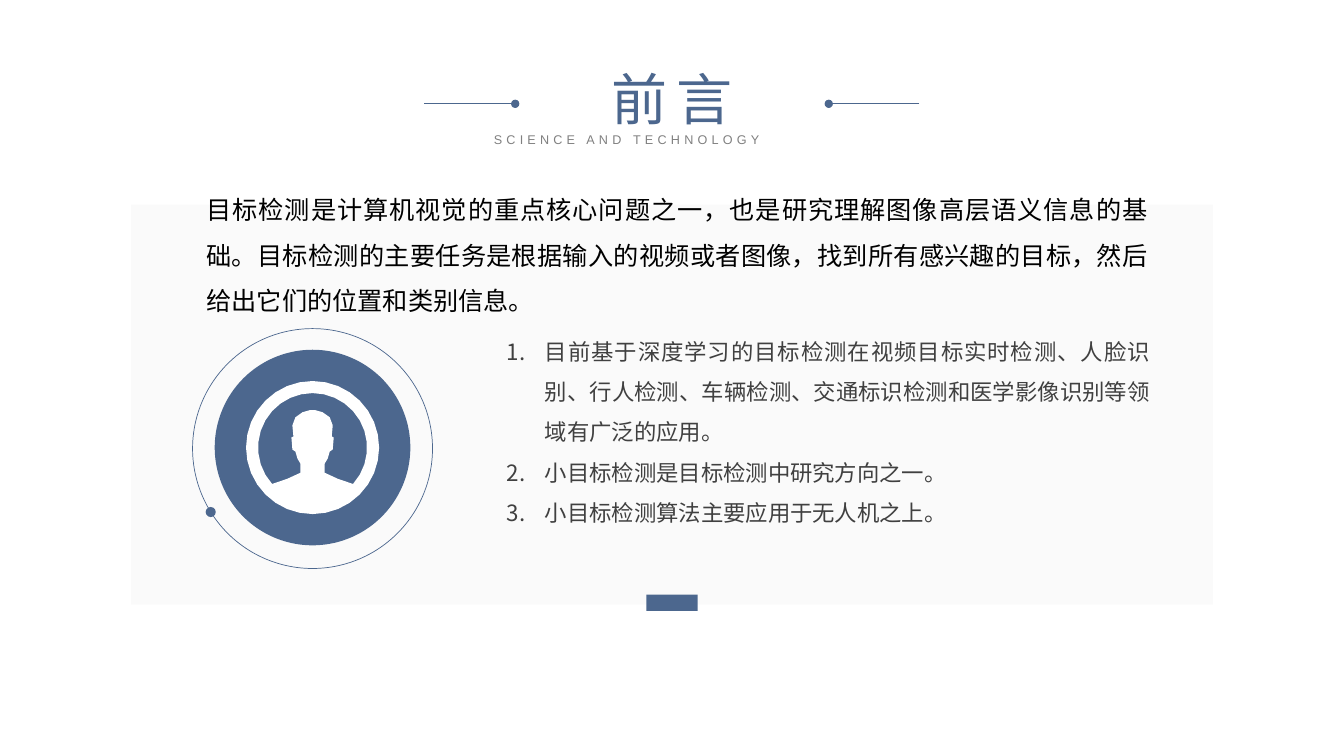
import math
from dataclasses import dataclass

import lxml.etree
import pptx
import pptx.dml.color
import pptx.enum.shapes
import pptx.enum.text
import pptx.oxml.ns
import pptx.util

Inches = pptx.util.Inches
Pt = pptx.util.Pt
Align = pptx.enum.text.PP_ALIGN
Preset = pptx.enum.shapes.MSO_SHAPE


@dataclass(frozen=True)
class Theme:
    """Colours, fonts and sizes of the slide."""
    accent: str = "4C678E"
    panel: str = "F2F2F2"
    white: str = "FFFFFF"
    black: str = "000000"
    body: str = "404040"
    muted: str = "808080"
    latin: str = "Arial"
    chinese: str = "Noto Sans CJK SC"
    title_size: int = 40
    lead_size: int = 18
    point_size: int = 16
    subtitle_size: int = 9
    hairline: float = 0.5


def rgb(value):
    """Return a colour from its hex digits."""
    return pptx.dml.color.RGBColor.from_string(value)


def child(parent, tag, **attributes):
    """Append a DrawingML element to its parent."""
    return lxml.etree.SubElement(parent, pptx.oxml.ns.qn(tag), attributes)


def write(paragraph, text, *, size, color, font, align=Align.JUSTIFY,
          spacing=None, tracking=0, numbered=False):
    """Write formatted text into a paragraph."""
    paragraph.alignment = align
    properties = paragraph._p.get_or_add_pPr()
    properties.set("hangingPunct", "0")
    if spacing:
        paragraph.line_spacing = spacing
    if numbered:
        hanging = Pt(27)
        properties.set("marL", str(hanging))
        properties.set("indent", str(-hanging))
        child(properties, "a:buFont", typeface=font)
        child(properties, "a:buAutoNum", type="arabicPeriod")
    run = paragraph.add_run()
    run.text = text
    run.font.size = Pt(size)
    run.font.color.rgb = rgb(color)
    run.font.name = font
    character = run._r.get_or_add_rPr()
    character.set("lang", "zh-CN")
    child(character, "a:ea", typeface=font)
    if tracking:
        character.set("spc", str(tracking * 100))


class Board:
    """Draws elements on one slide in one theme."""

    def __init__(self, slide, theme):
        self.shapes = slide.shapes
        self.theme = theme

    def text(self, left, top, width, height, lines, **style):
        """Add a text box with one paragraph per line."""
        box = self.shapes.add_textbox(
            Inches(left), Inches(top), Inches(width), Inches(height))
        frame = box.text_frame
        frame.word_wrap = True
        frame.auto_size = pptx.enum.text.MSO_AUTO_SIZE.SHAPE_TO_FIT_TEXT
        for index, line in enumerate(lines):
            paragraph = frame.add_paragraph() if index else frame.paragraphs[0]
            write(paragraph, line, **style)

    def paint(self, shape, fill=None, line=None, alpha=None):
        """Set fill, outline and transparency of a shape."""
        shape.shadow.inherit = False
        if fill:
            shape.fill.solid()
            shape.fill.fore_color.rgb = rgb(fill)
        else:
            shape.fill.background()
        if alpha:
            color = shape._element.spPr.find(".//" + pptx.oxml.ns.qn("a:srgbClr"))
            child(color, "a:alpha", val=str(alpha * 1000))
        if line:
            shape.line.color.rgb = rgb(line)
            shape.line.width = Pt(self.theme.hairline)
        else:
            shape.line.fill.background()

    def preset(self, kind, left, top, width, height, **style):
        """Add a preset shape."""
        shape = self.shapes.add_shape(
            kind, Inches(left), Inches(top), Inches(width), Inches(height))
        self.paint(shape, **style)

    def dotted_line(self, start, end, y):
        """Add a horizontal rule ending in a dot."""
        rule = self.shapes.add_connector(
            pptx.enum.shapes.MSO_CONNECTOR.STRAIGHT,
            Inches(start), Inches(y), Inches(end), Inches(y))
        rule.line.color.rgb = rgb(self.theme.accent)
        rule.line.width = Pt(self.theme.hairline)
        child(rule.line._get_or_add_ln(), "a:tailEnd", type="oval")
        child(rule._element.spPr, "a:effectLst")

    def outline(self, contours, **style):
        """Add one freeform made of closed contours."""
        scaled = [[(Inches(x), Inches(y)) for x, y in contour] for contour in contours]
        builder = self.shapes.build_freeform(*scaled[0][0], scale=1.0)
        for index, (first, *others) in enumerate(scaled):
            if index:
                builder.move_to(*first)
            builder.add_line_segments(others, close=True)
        self.paint(builder.convert_to_shape(), **style)


def arc(center, radius, start, end, steps):
    """Return points along an arc, with angles in degrees."""
    angles = [math.radians(start + (end - start) * i / steps) for i in range(steps + 1)]
    return [(center[0] + radius * math.cos(a), center[1] + radius * math.sin(a))
            for a in angles]


def portrait(center):
    """Return the contours of a ring holding a head and shoulders."""
    x, y = center
    profile = [(0.25, 0.31), (0.12, 0.25), (0.12, 0.16), (0.15, 0.11),
               (0.17, 0.04), (0.2, 0.02), (0.21, -0.1), (0.19, -0.11), (0.2, -0.22),
               (0.17, -0.3), (0.1, -0.35), (0.03, -0.37)]
    right = [(x + dx, y + dy) for dx, dy in profile]
    left = [(x - dx, y + dy) for dx, dy in reversed(profile)]
    return [arc(center, 0.66, 0, 360, 32), arc(center, 0.54, 138, 402, 22) + right + left]


def main():
    """Build and save the foreword slide."""
    deck = pptx.Presentation()
    deck.slide_width, deck.slide_height = Inches(13.33), Inches(7.5)
    theme = Theme()
    board = Board(deck.slides.add_slide(deck.slide_layouts[6]), theme)

    board.text(4.8, 1.26, 3.74, 0.25, ["SCIENCE AND TECHNOLOGY"], tracking=3,
               size=theme.subtitle_size, color=theme.muted, font=theme.latin)
    board.text(5.16, 0.59, 3.01, 0.77, ["前言"], tracking=6, align=Align.CENTER,
               size=theme.title_size, color=theme.accent, font=theme.chinese)
    for start, end in ((4.21, 5.11), (9.12, 8.22)):
        board.dotted_line(start, end, 1.03)

    board.preset(Preset.RECTANGLE, 1.3, 2.03, 10.73, 3.97, fill=theme.panel, alpha=33)
    board.preset(Preset.RECTANGLE, 6.41, 5.9, 0.51, 0.16, fill=theme.accent)

    lead = ("目标检测是计算机视觉的重点核心问题之一，也是研究理解图像高层语义信息的基础。"
            "目标检测的主要任务是根据输入的视频或者图像，找到所有感兴趣的目标，"
            "然后给出它们的位置和类别信息。")
    points = [
        "目前基于深度学习的目标检测在视频目标实时检测、人脸识别、行人检测、"
        "车辆检测、交通标识检测和医学影像识别等领域有广泛的应用。",
        "小目标检测是目标检测中研究方向之一。",
        "小目标检测算法主要应用于无人机之上。",
    ]
    board.text(1.95, 1.73, 9.54, 1.42, [lead], spacing=1.5,
               size=theme.lead_size, color=theme.black, font=theme.chinese)
    board.text(4.93, 3.17, 6.58, 2.12, points, spacing=1.5, numbered=True,
               size=theme.point_size, color=theme.body, font=theme.chinese)

    board.preset(Preset.OVAL, 1.91, 3.26, 2.38, 2.38, line=theme.accent)
    board.preset(Preset.OVAL, 2.13, 3.47, 1.94, 1.94, fill=theme.accent)
    board.preset(Preset.OVAL, 2.04, 5.03, 0.1, 0.1, fill=theme.accent)
    board.outline(portrait((3.1, 4.44)), fill=theme.white)

    deck.save("out.pptx")


if __name__ == "__main__":
    main()
